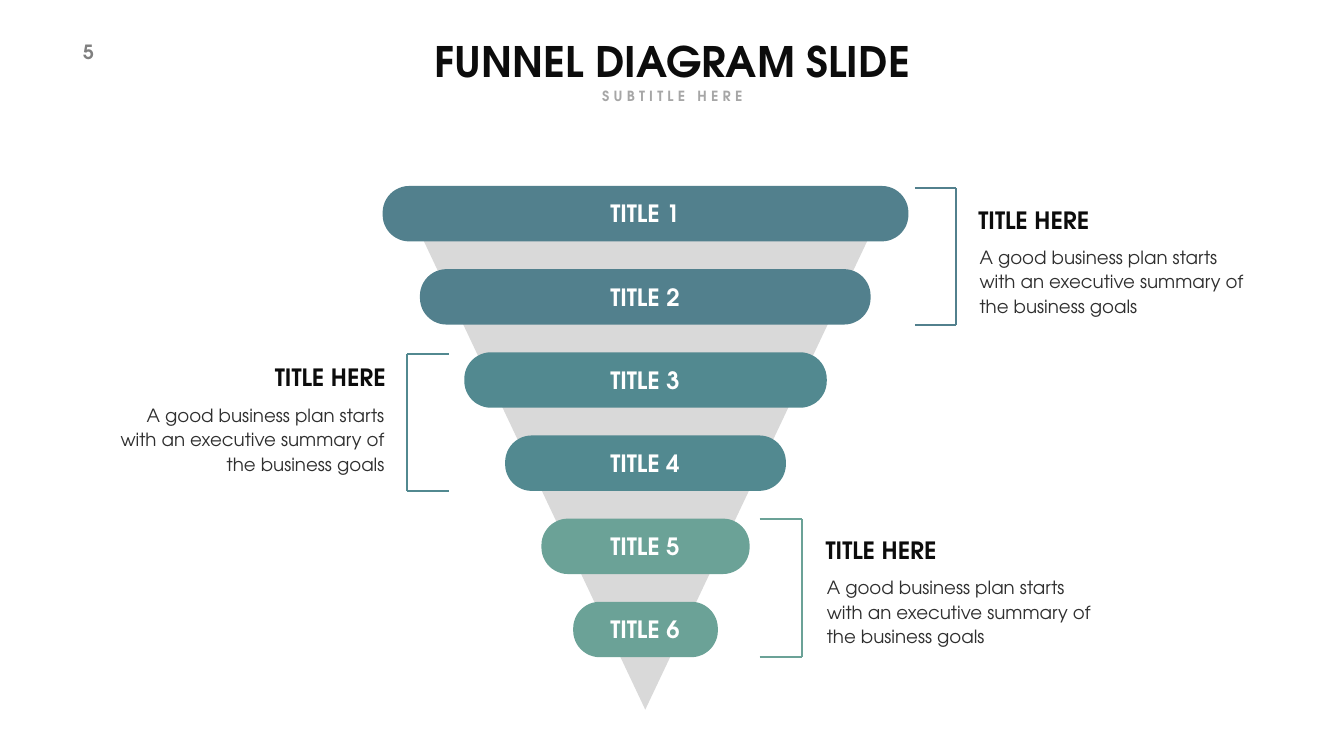
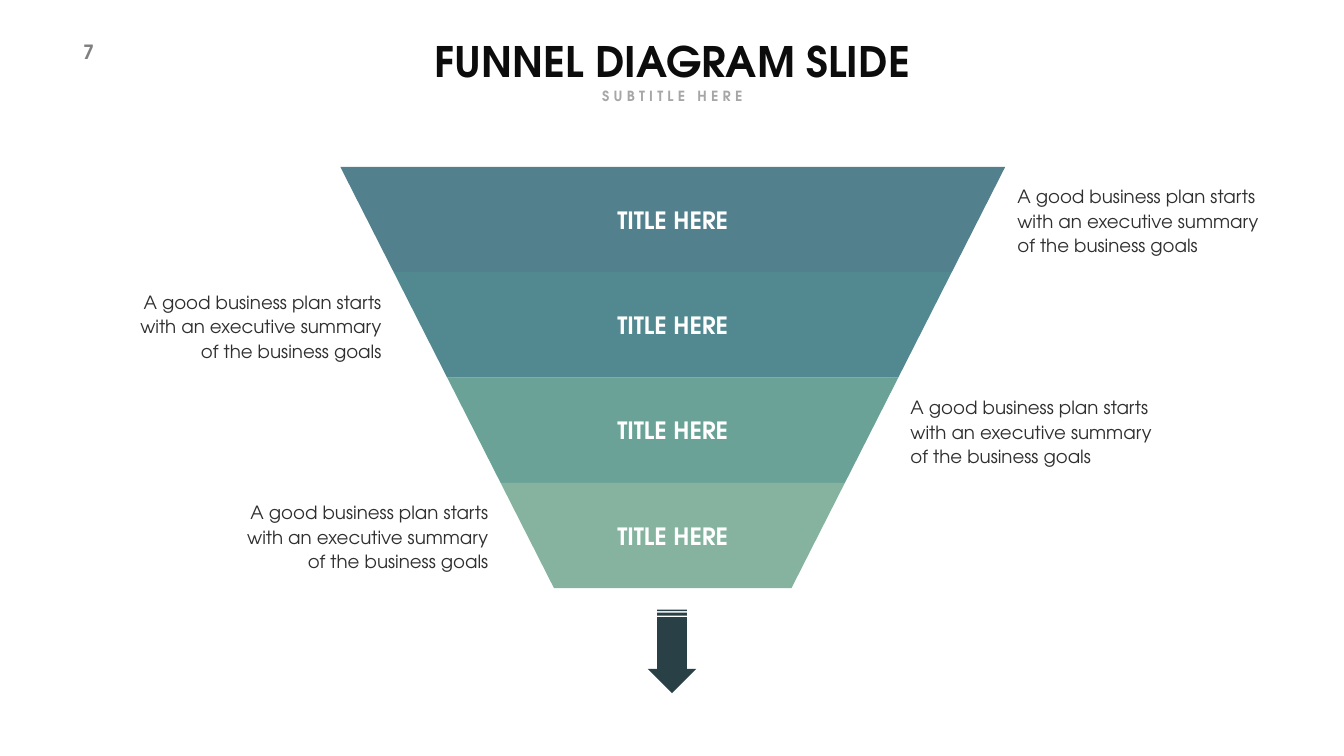
import dataclasses
import typing

import pptx
import pptx.dml.color
import pptx.enum.shapes
import pptx.enum.text
import pptx.oxml.ns
import pptx.slide
import pptx.util
from lxml import etree

# Shared scale, font and colours
EMU_PER_PX = 9144  # 100 px to the inch
FONT = "TeX Gyre Adventor"
BLUE, TEAL, GREEN, SAGE = "52808D", "528990", "6BA297", "85B39F"
INK, BODY, PAGE_GREY, SUBTITLE_GREY = "0C0C0C", "2F2F2F", "808080", "A6A6A6"
CONE_GREY, ARROW_DARK, WHITE = "D9D9D9", "294046", "FFFFFF"
SUMMARY = "A good business plan starts with an executive summary of the business goals"

ALIGN = pptx.enum.text.PP_ALIGN
ANCHOR = pptx.enum.text.MSO_ANCHOR
PRESET = pptx.enum.shapes.MSO_SHAPE
Slide = pptx.slide.Slide
Align = pptx.enum.text.PP_ALIGN
Anchor = pptx.enum.text.MSO_ANCHOR


@dataclasses.dataclass(frozen=True)
class Box:
    left: int
    top: int
    width: int
    height: int

    def emu(self) -> list[int]:
        return [px(side) for side in dataclasses.astuple(self)]


@dataclasses.dataclass(frozen=True)
class TextStyle:
    size: int
    colour: str
    bold: bool = True
    spacing: int = 0  # points between letters
    line_pt: int = 0
    wrap: bool = False
    inset: tuple[int, int] = (10, 5)


@dataclasses.dataclass(frozen=True)
class Bracket:
    colour: str
    tip: int
    spine: int
    top: int
    bottom: int


@dataclasses.dataclass(frozen=True)
class Callout:
    bracket: Bracket
    heading: Box
    summary: Box
    align: Align


PAGE_NUMBER = TextStyle(28, PAGE_GREY, spacing=3)
TITLE = TextStyle(60, INK)
SUBTITLE = TextStyle(20, SUBTITLE_GREY, spacing=6)
HEADING = TextStyle(34, INK)
LABEL = TextStyle(34, WHITE)
PARAGRAPH = TextStyle(26, BODY, bold=False, line_pt=35, wrap=True, inset=(24, 12))


def px(length: int) -> pptx.util.Emu:
    return pptx.util.Emu(length * EMU_PER_PX)


def rgb(colour: str) -> pptx.dml.color.RGBColor:
    return pptx.dml.color.RGBColor.from_string(colour)


def paint(shape: typing.Any, colour: str) -> None:
    shape.shadow.inherit = False
    shape.fill.solid()
    shape.fill.fore_color.rgb = rgb(colour)
    shape.line.fill.background()


def write(slide: Slide, words: str, box: Box, style: TextStyle,
          align: Align = ALIGN.LEFT, anchor: Anchor = ANCHOR.TOP) -> None:
    frame = slide.shapes.add_textbox(*box.emu()).text_frame
    frame.text = words
    frame.word_wrap = style.wrap
    frame.auto_size = pptx.enum.text.MSO_AUTO_SIZE.SHAPE_TO_FIT_TEXT
    frame.vertical_anchor = anchor
    frame.margin_left = frame.margin_right = px(style.inset[0])
    frame.margin_top = frame.margin_bottom = px(style.inset[1])
    paragraph = frame.paragraphs[0]
    paragraph.alignment = align
    if style.line_pt:
        paragraph.line_spacing = pptx.util.Pt(style.line_pt)
    font = paragraph.runs[0].font
    font.name = FONT
    font.size = pptx.util.Pt(style.size)
    font.bold = style.bold
    font.color.rgb = rgb(style.colour)
    if style.spacing:
        paragraph.runs[0]._r.get_or_add_rPr().set("spc", str(style.spacing * 100))


def draw_polygon(slide: Slide, corners: list[tuple[int, int]], colour: str) -> None:
    builder = slide.shapes.build_freeform(*corners[0], scale=EMU_PER_PX)
    builder.add_line_segments(corners[1:], close=True)
    paint(builder.convert_to_shape(), colour)


def draw_bracket(slide: Slide, bracket: Bracket) -> None:
    tip, spine, top, bottom = bracket.tip, bracket.spine, bracket.top, bracket.bottom
    group = slide.shapes.add_group_shape()
    for ends in ((tip, top, spine, top), (tip, bottom, spine, bottom),
                 (spine, bottom, spine, top)):
        edge = group.shapes.add_connector(
            pptx.enum.shapes.MSO_CONNECTOR.STRAIGHT, *[px(end) for end in ends])
        edge.line.color.rgb = rgb(bracket.colour)
        edge.line.width = pptx.util.Pt(3)
        etree.SubElement(edge._element.spPr, pptx.oxml.ns.qn("a:effectLst"))


def add_titled_slide(deck: typing.Any, page: str) -> Slide:
    slide = deck.slides.add_slide(deck.slide_layouts[6])
    write(slide, page, Box(155, 74, 80, 57), PAGE_NUMBER)
    write(slide, "FUNNEL DIAGRAM SLIDE", Box(808, 66, 1050, 111), TITLE, ALIGN.CENTER)
    write(slide, "SUBTITLE HERE", Box(1163, 169, 341, 44), SUBTITLE, ALIGN.CENTER)
    return slide


# Slide 1: six bars over a cone, bracketed in pairs
BAR_CENTRE, BAR_TOP, BAR_STEP, BAR_HEIGHT = 1280, 369, 165, 110
BARS = [(1043, BLUE), (894, BLUE), (719, TEAL), (557, TEAL), (413, GREEN), (287, GREEN)]
CALLOUTS = [
    Callout(Bracket(BLUE, 1815, 1897, 373, 644),
            Box(1931, 402, 289, 67), Box(1919, 471, 581, 170), ALIGN.LEFT),
    Callout(Bracket(TEAL, 890, 807, 703, 974),
            Box(486, 714, 289, 67), Box(206, 784, 581, 170), ALIGN.RIGHT),
    Callout(Bracket(GREEN, 1507, 1590, 1029, 1304),
            Box(1628, 1057, 289, 67), Box(1616, 1127, 581, 170), ALIGN.LEFT),
]


def build_bar_funnel(deck: typing.Any) -> None:
    slide = add_titled_slide(deck, "5")
    draw_polygon(slide, [(807, 407), (1754, 407), (1280, 1408)], CONE_GREY)
    for index, (width, colour) in enumerate(BARS):
        top = BAR_TOP + index * BAR_STEP
        bar = slide.shapes.add_shape(
            PRESET.ROUNDED_RECTANGLE,
            *Box(BAR_CENTRE - width // 2, top, width, BAR_HEIGHT).emu())
        bar.adjustments[0] = 0.48
        paint(bar, colour)
        write(slide, f"TITLE {index + 1}", Box(1184, top + 21, 191, 67), LABEL,
              ALIGN.CENTER, ANCHOR.MIDDLE)
    for callout in CALLOUTS:
        draw_bracket(slide, callout.bracket)
        write(slide, "TITLE HERE", callout.heading, HEADING, callout.align, ANCHOR.MIDDLE)
        write(slide, SUMMARY, callout.summary, PARAGRAPH, callout.align)


# Slide 2: four stacked layers with notes on alternating sides
FUNNEL_LEFT, FUNNEL_RIGHT, FUNNEL_TOP = 675, 1994, 331
LAYER_HEIGHT, LAYER_TAPER = 209, 106
NOTE_WIDTH, NOTE_HEIGHT = 548, 170
LAYERS = [BLUE, TEAL, GREEN, SAGE]


def build_layer_funnel(deck: typing.Any) -> None:
    slide = add_titled_slide(deck, "7")
    for index, colour in enumerate(LAYERS):
        top, bottom = (FUNNEL_TOP + row * LAYER_HEIGHT for row in (index, index + 1))
        left = FUNNEL_LEFT + index * LAYER_TAPER
        right = FUNNEL_RIGHT - index * LAYER_TAPER
        draw_polygon(slide, [(left, top), (right, top), (right - LAYER_TAPER, bottom),
                             (left + LAYER_TAPER, bottom)], colour)
        write(slide, "TITLE HERE", Box(1190, top + 71, 289, 67), LABEL,
              ALIGN.CENTER, ANCHOR.MIDDLE)
        on_right = index % 2 == 0
        note_left = right if on_right else left - NOTE_WIDTH
        write(slide, SUMMARY, Box(note_left, top + 20, NOTE_WIDTH, NOTE_HEIGHT), PARAGRAPH,
              ALIGN.LEFT if on_right else ALIGN.RIGHT, ANCHOR.MIDDLE)

    # Outflow arrow below the funnel
    outflow = slide.shapes.add_shape(PRESET.STRIPED_RIGHT_ARROW,
                                     *Box(1250, 1244, 166, 97).emu())
    outflow.rotation = 90
    outflow.adjustments[0] = 0.61
    outflow.adjustments[1] = 0.5
    paint(outflow, ARROW_DARK)


def main() -> None:
    deck = pptx.Presentation()
    deck.slide_width, deck.slide_height = px(2666), px(1500)
    build_bar_funnel(deck)
    build_layer_funnel(deck)
    deck.save("out.pptx")


if __name__ == "__main__":
    main()
